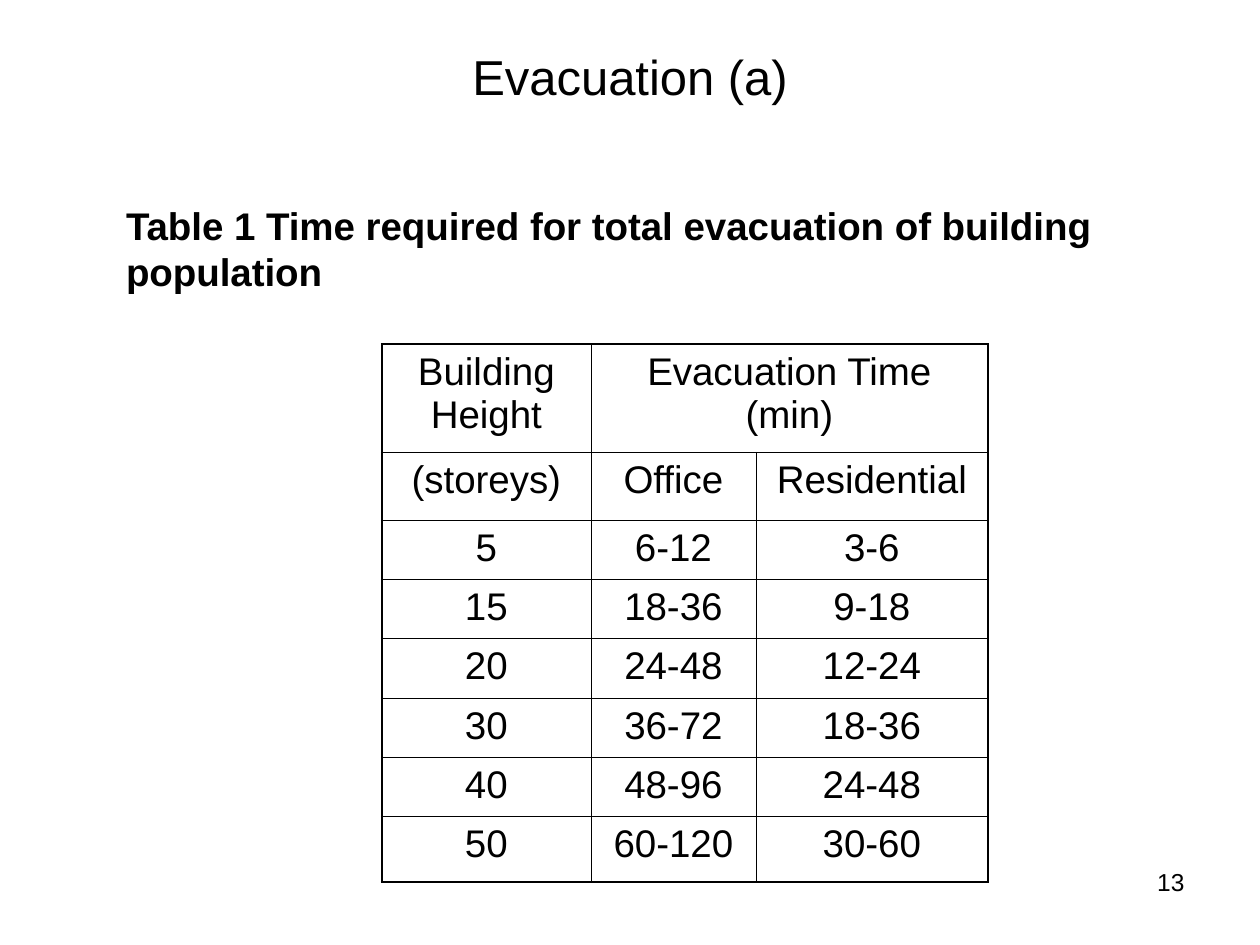
import pptx
import pptx.dml.color
import pptx.enum.text
import pptx.oxml
import pptx.oxml.ns
import pptx.util

Inches = pptx.util.Inches
Pt = pptx.util.Pt
ALIGN = pptx.enum.text.PP_ALIGN
ANCHOR = pptx.enum.text.MSO_ANCHOR
BLACK = pptx.dml.color.RGBColor(0, 0, 0)
THIN, THICK = 0.45, 1.08
COLUMN_WIDTHS = [1.66, 1.31, 1.84]
ROW_HEIGHTS = [0.86, 0.54] + [0.47] * 5 + [0.52]
ROWS = [
    ["Building\vHeight", "Evacuation Time (min)", ""],
    ["(storeys)", "Office", "Residential"],
    ["5", "6-12", "3-6"],
    ["15", "18-36", "9-18"],
    ["20", "24-48", "12-24"],
    ["30", "36-72", "18-36"],
    ["40", "48-96", "24-48"],
    ["50", "60-120", "30-60"],
]


def apply(target, values):
    for name, value in values.items():
        setattr(target, name, value)


class SlideBuilder:
    font = {"name": "Arial", "bold": False}
    frame = {
        "word_wrap": True,
        "auto_size": pptx.enum.text.MSO_AUTO_SIZE.NONE,
        "margin_left": Inches(0.1),
        "margin_right": Inches(0.1),
        "margin_top": Inches(0.05),
        "margin_bottom": Inches(0.05),
    }

    def __init__(self, slide):
        self.slide = slide

    def add_text(self, text_frame, text, size, align, bold=False):
        paragraph = text_frame.paragraphs[0]
        paragraph.text = text
        apply(paragraph, {"alignment": align, "space_before": Pt(0)})
        for run in paragraph.runs:
            apply(run.font, {**self.font, "size": Pt(size), "bold": bold})
            run.font.color.rgb = BLACK
        return paragraph

    def place(self, shape, left, top, width, height, anchor):
        box = {"left": left, "top": top, "width": width, "height": height}
        apply(shape, {name: Inches(value) for name, value in box.items()})
        apply(shape.text_frame, {**self.frame, "vertical_anchor": anchor})

    def title(self, text, *box):
        shape = self.slide.shapes.title
        self.place(shape, *box, ANCHOR.MIDDLE)
        self.add_text(shape.text_frame, text, 28, ALIGN.CENTER)

    def caption(self, text, *box):
        shape = self.slide.placeholders[1]
        self.place(shape, *box, ANCHOR.TOP)
        paragraph = self.add_text(shape.text_frame, text, 22, ALIGN.LEFT, True)
        properties = paragraph._p.get_or_add_pPr()
        properties.set("marL", "0")
        properties.set("indent", "0")
        properties.append(pptx.oxml.parse_xml(
            f'<a:buNone {pptx.oxml.ns.nsdecls("a")}/>'))

    def page_number(self, text, *box):
        shape = self.slide.shapes.add_textbox(0, 0, 0, 0)
        self.place(shape, *box, ANCHOR.TOP)
        self.add_text(shape.text_frame, text, 14, ALIGN.RIGHT)

    def border(self, cell, widths):
        properties = cell._tc.get_or_add_tcPr()
        for index, (side, width) in enumerate(widths.items()):
            properties.insert(index, pptx.oxml.parse_xml(
                f'<a:ln{side} {pptx.oxml.ns.nsdecls("a")} w="{Pt(width)}">'
                f'<a:solidFill><a:srgbClr val="{BLACK}"/></a:solidFill>'
                f'</a:ln{side}>'))

    def table(self, rows, left, top):
        last_row, last_column = len(rows) - 1, len(COLUMN_WIDTHS) - 1
        table = self.slide.shapes.add_table(
            len(rows), len(COLUMN_WIDTHS), Inches(left), Inches(top),
            Inches(sum(COLUMN_WIDTHS)), Inches(sum(ROW_HEIGHTS))).table
        apply(table, {"first_row": False, "horz_banding": False})
        for column, width in zip(table.columns, COLUMN_WIDTHS):
            column.width = Inches(width)
        for row, height in zip(table.rows, ROW_HEIGHTS):
            row.height = Inches(height)
        table.cell(0, 1).merge(table.cell(0, 2))
        for i, texts in enumerate(rows):
            for j, text in enumerate(texts):
                cell = table.cell(i, j)
                right = j + cell.span_width - 1 if cell.is_merge_origin else j
                cell.fill.background()
                self.border(cell, {
                    "L": THICK if j == 0 else THIN,
                    "R": THICK if right == last_column else THIN,
                    "T": THICK if i == 0 else THIN,
                    "B": THICK if i == last_row else THIN,
                })
                if text:
                    self.add_text(cell.text_frame, text, 22, ALIGN.CENTER)


def main():
    presentation = pptx.Presentation()
    apply(presentation, {"slide_width": Inches(10), "slide_height": Inches(7.5)})
    slide = presentation.slides.add_slide(presentation.slide_layouts[1])
    builder = SlideBuilder(slide)
    builder.title("Evacuation (a)", 0.5, 0.3, 9, 0.61)
    builder.caption(
        "Table 1 Time required for total evacuation of building population",
        0.9, 1.55, 8.31, 1.65)
    builder.table(ROWS, 3.03, 2.73)
    builder.page_number("13", 7.17, 6.83, 2.33, 0.52)
    presentation.save("out.pptx")


if __name__ == "__main__":
    main()
